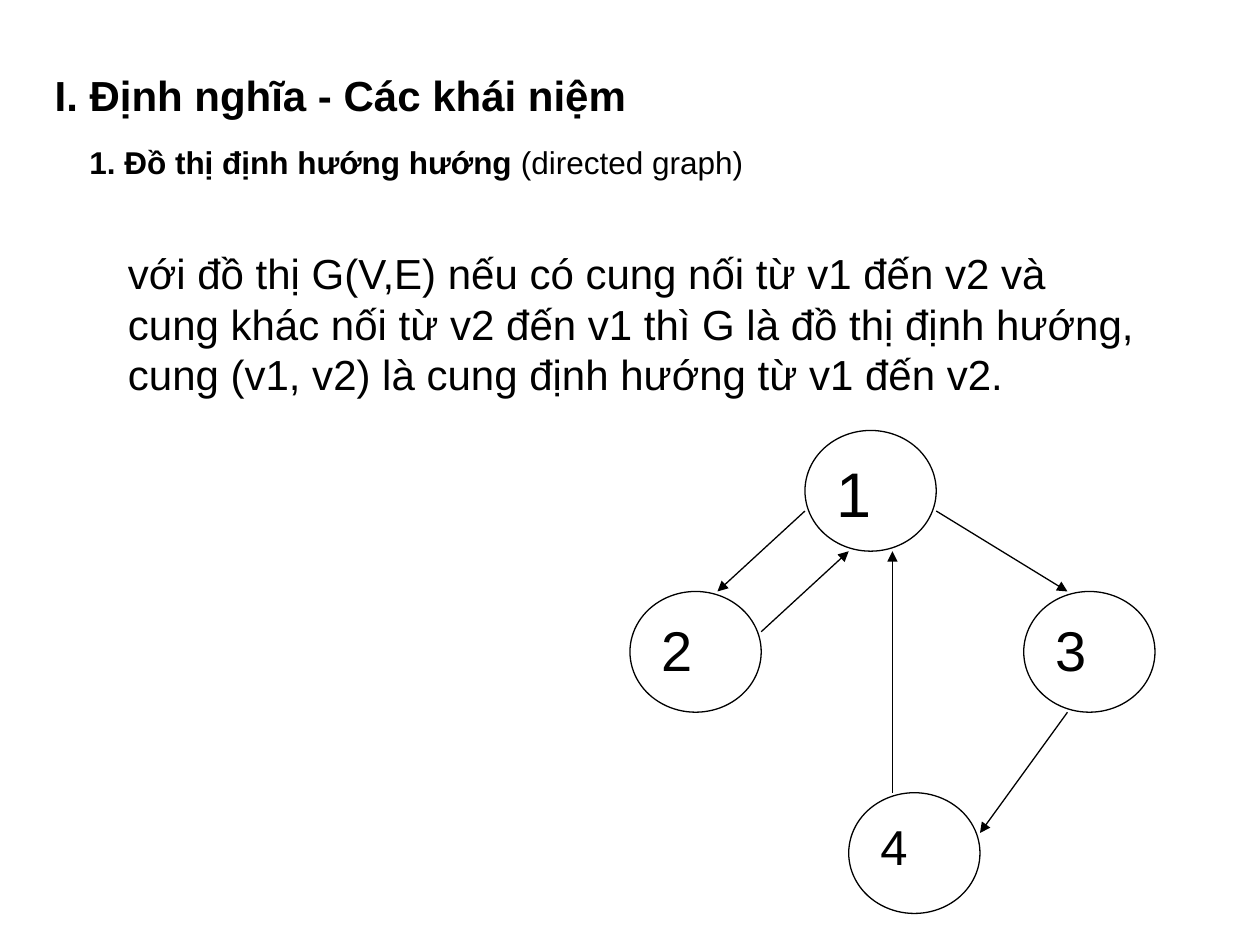
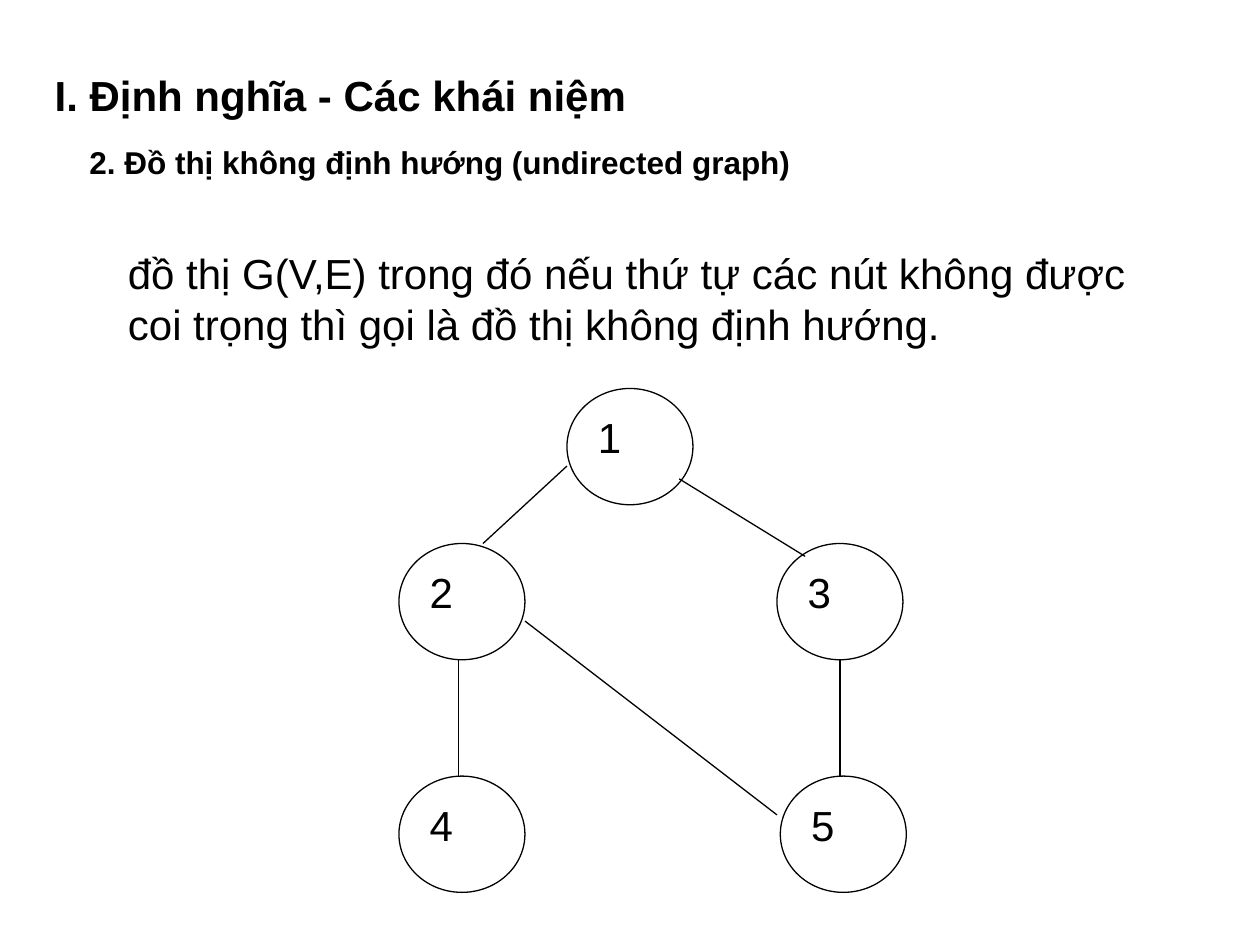
from lxml import etree
from pptx import Presentation
from pptx.dml.color import RGBColor
from pptx.enum.shapes import MSO_CONNECTOR, MSO_SHAPE
from pptx.enum.text import MSO_ANCHOR, MSO_AUTO_SIZE, PP_ALIGN
from pptx.oxml.ns import qn
from pptx.util import Pt

BLACK = RGBColor(0, 0, 0)
WHITE = RGBColor(255, 255, 255)
FONT = "Arial"
LINE_WIDTH = 0.75
TITLE_ONLY = 5
NODE_SPAN = 3  # a node covers three grid units each way

TITLE = "I. Định nghĩa - Các khái niệm"
TITLE_BOX = (24, 36, 468, 36)
SUBTITLE_BOX = (44, 78, 574, 29)
BODY_BOX = (66, 138, 594, 94)

# Nodes: label, column, row, font size. Edges: start and end, in grid units.
DIRECTED = {
    "subtitle": [("1. Đồ thị định hướng hướng", True), (" (directed graph)", False)],
    "body": "với đồ thị G(V,E) nếu có cung nối từ v1 đến v2 và cung khác nối từ v2 "
            "đến v1 thì G là đồ thị định hướng, cung (v1, v2) là cung định hướng từ v1 đến v2.",
    "origin": (360, 246),
    "unit": (25, 23),
    "nodes": [("1", 4, 0, 36), ("2", 0, 4, 32), ("3", 9, 4, 32), ("4", 5, 9, 28)],
    "edges": [((4, 2), (2, 4)), ((3, 5), (5, 3)), ((7, 2), (10, 4)),
              ((10, 7), (8, 10)), ((6, 9), (6, 3))],
    "arrows": True,
}
UNDIRECTED = {
    "subtitle": [("2. Đồ thị không định hướng (undirected graph)", True)],
    "body": "đồ thị G(V,E) trong đó nếu thứ tự các nút không được coi trọng "
            "thì gọi là đồ thị không định hướng.",
    "origin": (228, 222),
    "unit": (24, 22.15),
    "nodes": [("1", 4, 0, 24), ("2", 0, 4, 24), ("3", 9, 4, 24),
              ("4", 0, 10, 24), ("5", 9.08, 10, 24)],
    "edges": [((4, 2), (2, 4)), ((1.42, 7), (1.42, 10)), ((6.67, 2.33), (9.67, 4.33)),
              ((10.5, 7), (10.5, 10)), ((3, 6), (9, 11))],
    "arrows": False,
}


def write_text(shape, runs, size=24):
    """Fill the shape with (text, bold) runs in one left-aligned paragraph."""
    frame = shape.text_frame
    frame.word_wrap = True
    frame.auto_size = MSO_AUTO_SIZE.NONE
    frame.vertical_anchor = MSO_ANCHOR.TOP
    paragraph = frame.paragraphs[0]
    paragraph.alignment = PP_ALIGN.LEFT
    for text, bold in runs:
        run = paragraph.add_run()
        run.text = text
        run.font.name = FONT
        run.font.size = Pt(size)
        run.font.bold = bold
        run.font.color.rgb = BLACK


def add_text(slide, box, runs, **text_format):
    shape = slide.shapes.add_textbox(*map(Pt, box))
    write_text(shape, runs, **text_format)


def add_title(slide):
    title = slide.shapes.title
    title.left, title.top, title.width, title.height = map(Pt, TITLE_BOX)
    write_text(title, [(TITLE, True)])


def style_line(line):
    line.color.rgb = BLACK
    line.width = Pt(LINE_WIDTH)


def add_node(slide, box, label, size):
    node = slide.shapes.add_shape(MSO_SHAPE.OVAL, *map(Pt, box))
    node.shadow.inherit = False
    node.fill.solid()
    node.fill.fore_color.rgb = WHITE
    style_line(node.line)
    write_text(node, [(label, False)], size=size)


def add_edge(slide, start, end, arrow):
    edge = slide.shapes.add_connector(MSO_CONNECTOR.STRAIGHT, *map(Pt, start + end))
    style_line(edge.line)
    properties = edge.element.spPr
    if arrow:
        etree.SubElement(properties.find(qn("a:ln")), qn("a:tailEnd"), type="triangle")
    etree.SubElement(properties, qn("a:effectLst"))


def add_graph(slide, graph):
    """Place nodes and edges on a grid that starts at the graph's origin."""
    left, top = graph["origin"]
    unit_x, unit_y = graph["unit"]

    def point(column, row):
        return left + column * unit_x, top + row * unit_y

    node_size = (NODE_SPAN * unit_x, NODE_SPAN * unit_y)
    for label, column, row, size in graph["nodes"]:
        add_node(slide, point(column, row) + node_size, label, size)
    for start, end in graph["edges"]:
        add_edge(slide, point(*start), point(*end), graph["arrows"])


def add_graph_slide(presentation, graph):
    slide = presentation.slides.add_slide(presentation.slide_layouts[TITLE_ONLY])
    add_title(slide)
    add_text(slide, SUBTITLE_BOX, graph["subtitle"], size=18)
    add_text(slide, BODY_BOX, [(graph["body"], False)])
    add_graph(slide, graph)


def main():
    presentation = Presentation()
    presentation.slide_width = Pt(720)
    presentation.slide_height = Pt(540)
    for graph in (DIRECTED, UNDIRECTED):
        add_graph_slide(presentation, graph)
    presentation.save("out.pptx")


if __name__ == "__main__":
    main()
